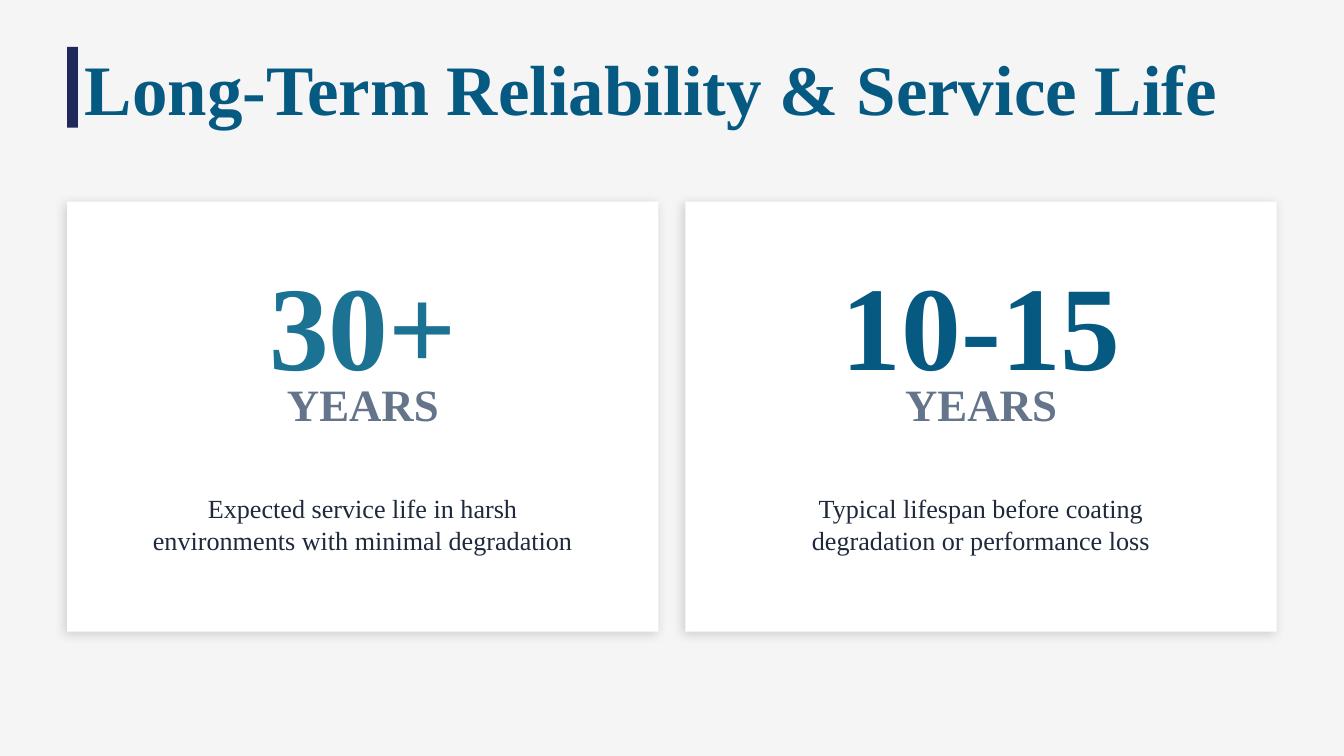
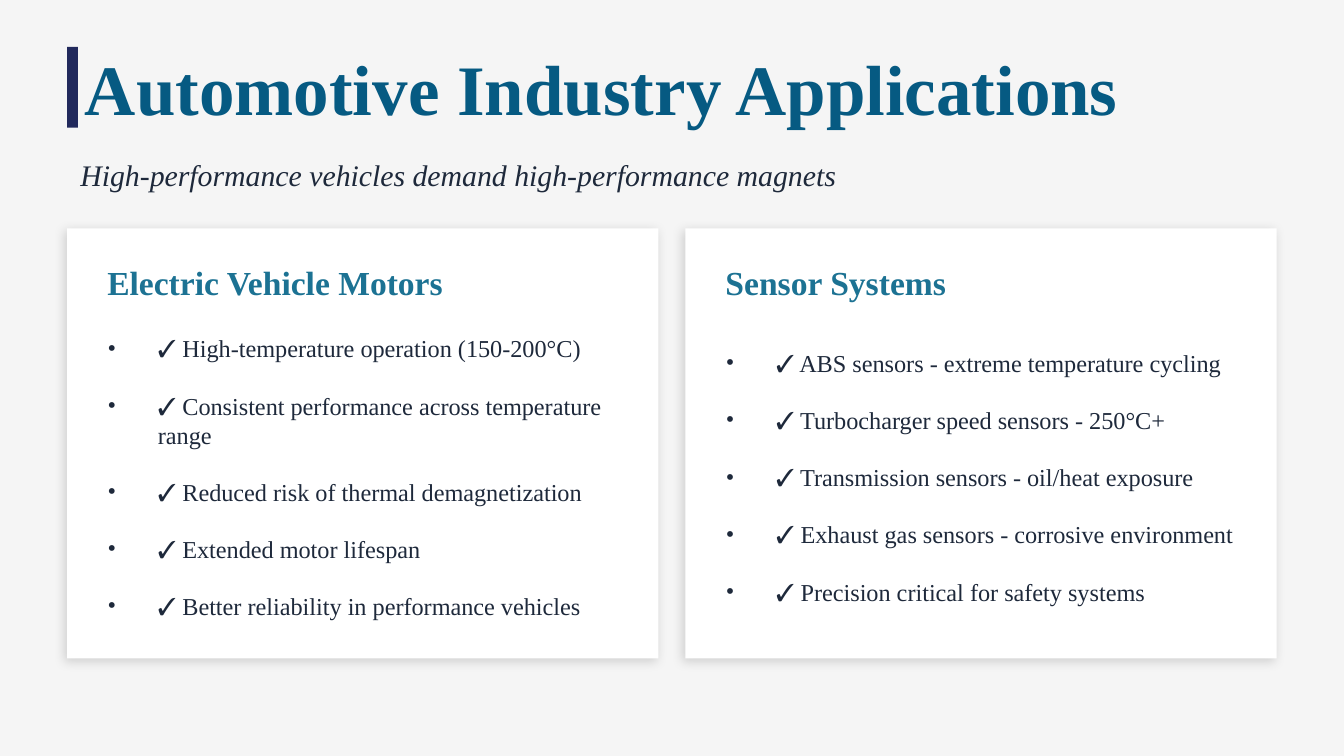
from lxml import etree
from pptx import Presentation
from pptx.dml.color import RGBColor
from pptx.enum import shapes, text
from pptx.oxml import ns
from pptx import util as u

COLOURS = {
    "background": "F5F5F5",
    "card": "FFFFFF",
    "bar": "21295C",
    "deep": "065A82",
    "teal": "1C7293",
    "muted": "64748B",
    "ink": "1E293B",
    "shadow": "000000",
}
FONT = "Times New Roman"
MARGIN = 36
CARD_WIDTH = 316.8
CARD_HEIGHT = 230.4
CARD_GAP = 14.4
CONTENT_WIDTH = 2 * CARD_WIDTH + CARD_GAP
CARD_LEFTS = [MARGIN + column * (CARD_WIDTH + CARD_GAP) for column in range(2)]
CARD_PADDING = 14.4
LIST_INDENT = 27
LIST_GAP = 15

STYLES = {
    "title": {"size": 38, "colour": "deep", "bold": True},
    "subtitle": {"size": 16, "colour": "ink", "italic": True},
    "unit": {"size": 24, "colour": "muted", "bold": True},
    "caption": {"size": 14, "colour": "ink"},
    "heading": {"size": 18, "colour": "teal", "bold": True},
    "item": {"size": 13, "colour": "ink"},
}

LIFESPANS = [
    ("30+", "teal", "Expected service life in harsh environments with minimal degradation"),
    ("10-15", "deep", "Typical lifespan before coating degradation or performance loss"),
]
APPLICATIONS = [
    ("Electric Vehicle Motors", [
        "High-temperature operation (150-200°C)",
        "Consistent performance across temperature range",
        "Reduced risk of thermal demagnetization",
        "Extended motor lifespan",
        "Better reliability in performance vehicles",
    ]),
    ("Sensor Systems", [
        "ABS sensors - extreme temperature cycling",
        "Turbocharger speed sensors - 250°C+",
        "Transmission sensors - oil/heat exposure",
        "Exhaust gas sensors - corrosive environment",
        "Precision critical for safety systems",
    ]),
]


def colour(name):
    return RGBColor.from_string(COLOURS[name])


def set_attributes(target, values):
    for name, value in values.items():
        setattr(target, name, value)


def place(shape, left, top, width, height):
    set_attributes(shape, {
        "left": u.Pt(left), "top": u.Pt(top),
        "width": u.Pt(width), "height": u.Pt(height),
    })


def format_frame(frame, **values):
    set_attributes(frame, {
        "word_wrap": True,
        "auto_size": text.MSO_AUTO_SIZE.NONE,
        "vertical_anchor": text.MSO_ANCHOR.MIDDLE,
        **values,
    })


def write(paragraph, content, style, align=text.PP_ALIGN.LEFT):
    run = paragraph.add_run()
    run.text = content
    set_attributes(paragraph, {
        "alignment": align, "line_spacing": 1.0,
        "space_before": u.Pt(0), "space_after": u.Pt(0),
    })
    set_attributes(run.font, {
        "name": FONT,
        "size": u.Pt(style["size"]),
        "bold": style.get("bold", False),
        "italic": style.get("italic", False),
    })
    run.font.color.rgb = colour(style["colour"])


def add_label(slide, box, content, style, align=text.PP_ALIGN.LEFT):
    label = slide.shapes.add_textbox(*map(u.Pt, box))
    format_frame(label.text_frame)
    write(label.text_frame.paragraphs[0], content, style, align)


def add_rectangle(slide, box, fill):
    rectangle = slide.shapes.add_shape(shapes.MSO_SHAPE.RECTANGLE, *map(u.Pt, box))
    rectangle.fill.solid()
    rectangle.fill.fore_color.rgb = colour(fill)
    rectangle.line.fill.background()
    rectangle.shadow.inherit = False
    return rectangle


def add_card(slide, left, top):
    card = add_rectangle(slide, (left, top, CARD_WIDTH, CARD_HEIGHT), "card")
    effects = card.element.spPr.find(ns.qn("a:effectLst"))
    shadow = etree.SubElement(
        effects, ns.qn("a:outerShdw"), blurRad=str(u.Pt(6)), dist=str(u.Pt(2)),
        dir=str(135 * 60000), algn="bl", rotWithShape="0")
    tint = etree.SubElement(shadow, ns.qn("a:srgbClr"), val=COLOURS["shadow"])
    etree.SubElement(tint, ns.qn("a:alpha"), val="15000")


def add_titled_slide(presentation, layout_name, title_text):
    layout = presentation.slide_layouts.get_by_name(layout_name)
    slide = presentation.slides.add_slide(layout)
    title = slide.shapes.title
    place(title, MARGIN, 28.8, CONTENT_WIDTH, 36)
    format_frame(title.text_frame, margin_left=u.Pt(9.5), margin_right=0,
                 margin_top=0, margin_bottom=0)
    write(title.text_frame.paragraphs[0], title_text, STYLES["title"])
    add_rectangle(slide, (MARGIN, 25.2, 5.76, 43.2), "bar")
    return slide


def set_bullet(paragraph):
    properties = paragraph._p.get_or_add_pPr()
    properties.set("marL", str(u.Pt(LIST_INDENT)))
    properties.set("indent", str(-u.Pt(LIST_INDENT)))
    etree.SubElement(properties, ns.qn("a:buFont"), typeface=FONT)
    etree.SubElement(properties, ns.qn("a:buChar"), char="•")


def fill_checklist(slide, body, box, items):
    slide.shapes.element.append(body.element)
    place(body, *box)
    frame = body.text_frame
    format_frame(frame)
    for index, item in enumerate(items):
        paragraph = frame.add_paragraph() if index else frame.paragraphs[0]
        write(paragraph, f"✓ {item}", STYLES["item"])
        if index < len(items) - 1:
            paragraph.space_after = u.Pt(LIST_GAP)
        set_bullet(paragraph)


def build_service_life(presentation):
    slide = add_titled_slide(presentation, "Title Only", "Long-Term Reliability & Service Life")
    center = text.PP_ALIGN.CENTER
    for left, (figure, figure_colour, caption) in zip(CARD_LEFTS, LIFESPANS):
        add_card(slide, left, 108)
        figure_style = {"size": 64, "colour": figure_colour, "bold": True}
        add_label(slide, (left, 144, CARD_WIDTH, 57.6), figure, figure_style, center)
        add_label(slide, (left, 201.6, CARD_WIDTH, 28.8), "YEARS", STYLES["unit"], center)
        add_label(slide, (left + 36, 244.8, CARD_WIDTH - 72, 72), caption,
                  STYLES["caption"], center)


def build_applications(presentation):
    slide = add_titled_slide(presentation, "Two Content", "Automotive Industry Applications")
    add_label(slide, (MARGIN, 79.2, CONTENT_WIDTH, 28.8),
              "High-performance vehicles demand high-performance magnets", STYLES["subtitle"])
    bodies = [holder for holder in slide.placeholders if holder.placeholder_format.idx in (1, 2)]
    inner_width = CARD_WIDTH - 2 * CARD_PADDING
    for left, body, (heading, items) in zip(CARD_LEFTS, bodies, APPLICATIONS):
        add_card(slide, left, 122.4)
        inner_left = left + CARD_PADDING
        add_label(slide, (inner_left, 136.8, inner_width, 28.8), heading, STYLES["heading"])
        fill_checklist(slide, body, (inner_left, 172.8, inner_width, 165.6), items)


def main():
    presentation = Presentation()
    set_attributes(presentation, {"slide_width": u.Pt(720), "slide_height": u.Pt(405)})
    background = presentation.slide_master.background.fill
    background.solid()
    background.fore_color.rgb = colour("background")
    build_service_life(presentation)
    build_applications(presentation)
    presentation.save("out.pptx")


if __name__ == "__main__":
    main()
